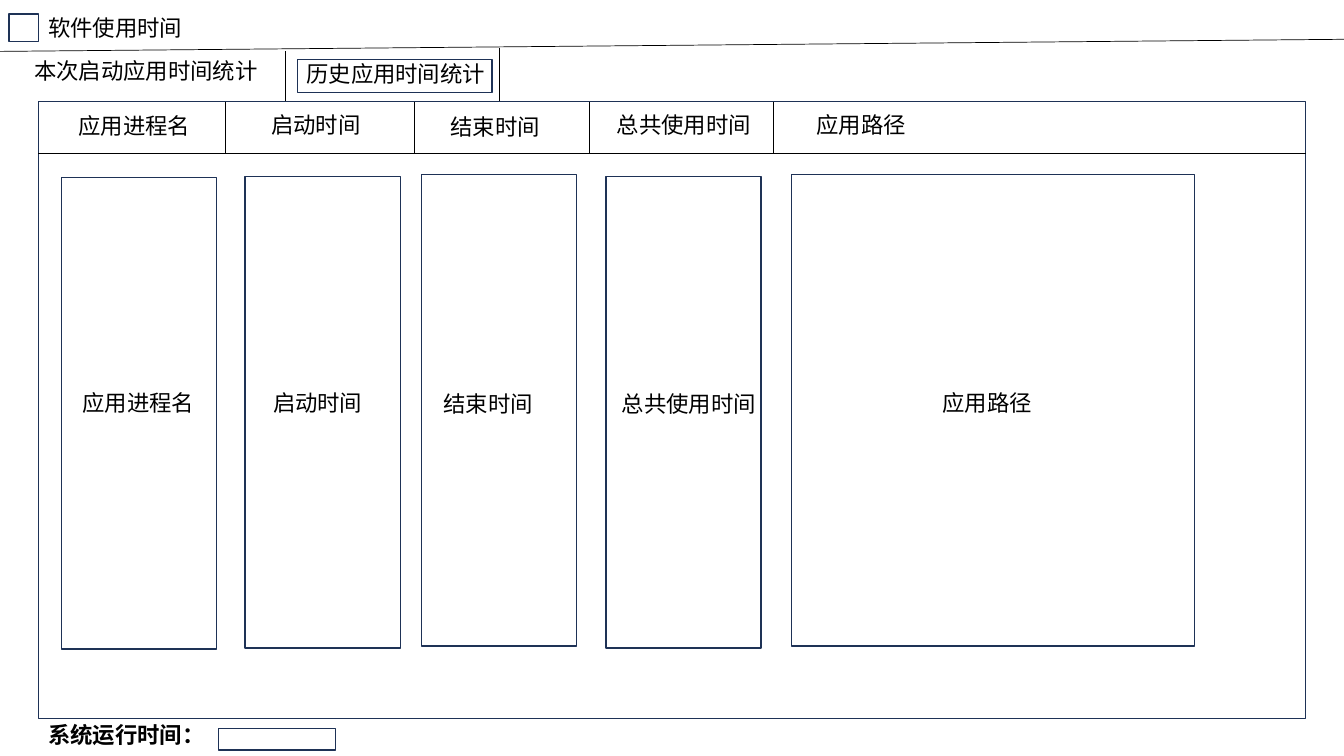
from dataclasses import dataclass

from lxml.etree import SubElement
from pptx import Presentation
from pptx.dml.color import RGBColor
from pptx.enum.shapes import MSO_CONNECTOR, MSO_SHAPE
from pptx.enum.text import MSO_AUTO_SIZE
from pptx.oxml.ns import qn
from pptx.util import Inches, Pt

NAVY = RGBColor(0x1E, 0x32, 0x56)
BLACK = RGBColor(0, 0, 0)
FONT = "Noto Sans CJK SC"


@dataclass
class Column:
    name: str
    head: tuple[float, float]    # header label, left and top
    box: tuple[float, float]     # body box, left and top
    label: tuple[float, float]   # body label, left and top
    width: float = 1.54


COLUMNS = [
    Column("应用进程名", (0.68, 1.06), (0.61, 1.76), (0.72, 3.81)),
    Column("启动时间", (2.59, 1.05), (2.43, 1.75), (2.61, 3.81)),
    Column("结束时间", (4.37, 1.07), (4.18, 1.73), (4.3, 3.82)),
    Column("总共使用时间", (6.02, 1.05), (6.01, 1.75), (6.07, 3.82)),
    Column("应用路径", (8, 1.05), (7.85, 1.73), (9.25, 3.81), 4),
]
LEFT, RIGHT, TOP, RULE = 0.38, 12.95, 1.01, 1.52
BODY = 4.68
WIDE = 1.63

deck = Presentation()
deck.slide_width, deck.slide_height = Inches(13.33), Inches(7.5)
slide = deck.slides.add_slide(deck.slide_layouts[6])


def add_box(x: float, y: float, w: float, h: float) -> None:
    box = slide.shapes.add_shape(
        MSO_SHAPE.RECTANGLE, Inches(x), Inches(y), Inches(w), Inches(h))
    box.shadow.inherit = False
    box.fill.background()
    box.line.color.rgb = NAVY
    box.line.width = Pt(1)


def add_line(x1: float, y1: float, x2: float, y2: float) -> None:
    line = slide.shapes.add_connector(
        MSO_CONNECTOR.STRAIGHT, Inches(x1), Inches(y1), Inches(x2), Inches(y2))
    line.line.color.rgb = BLACK
    line.line.width = Pt(0.5)
    SubElement(line._element.spPr, qn("a:effectLst"))


def add_text(text: str, x: float, y: float, w: float = WIDE, *,
             size: float = 16, bold: bool = False) -> None:
    area = slide.shapes.add_textbox(
        Inches(x), Inches(y), Inches(w), Inches(0.37))
    frame = area.text_frame
    frame.word_wrap = True
    frame.auto_size = MSO_AUTO_SIZE.SHAPE_TO_FIT_TEXT
    run = frame.paragraphs[0].add_run()
    run.text = text
    font = run.font
    font.name, font.size, font.bold = FONT, Pt(size), bold
    font.color.rgb = BLACK
    SubElement(run._r.get_or_add_rPr(), qn("a:ea")).set("typeface", FONT)


# Title bar
add_box(0.09, 0.14, 0.29, 0.27)
add_text("软件使用时间", 0.38, 0.09, 2.71)
add_line(0, 0.51, 13.33, 0.39)

# Tabs
add_text("本次启动应用时间统计", 0.24, 0.52, 2.51)
add_line(2.83, 0.51, 2.83, TOP)
add_box(2.95, 0.59, 1.93, 0.33)
add_text("历史应用时间统计", 2.94, 0.55, 2.35)
add_line(4.95, 0.48, 4.95, TOP)

# Main frame and header rules
add_box(LEFT, TOP, RIGHT - LEFT, 6.12)
add_line(LEFT, RULE, RIGHT, RULE)
for edge in (2.24, 4.11, 5.85, 7.67):
    add_line(edge, TOP, edge, RULE)

# Columns
for col in COLUMNS:
    add_text(col.name, *col.head)
    add_box(*col.box, col.width, BODY)
    add_text(col.name, *col.label)

# Footer
add_text("系统运行时间：", 0.38, 7.11, 1.78, bold=True)
add_box(2.17, 7.23, 1.16, 0.21)

deck.save("out.pptx")
